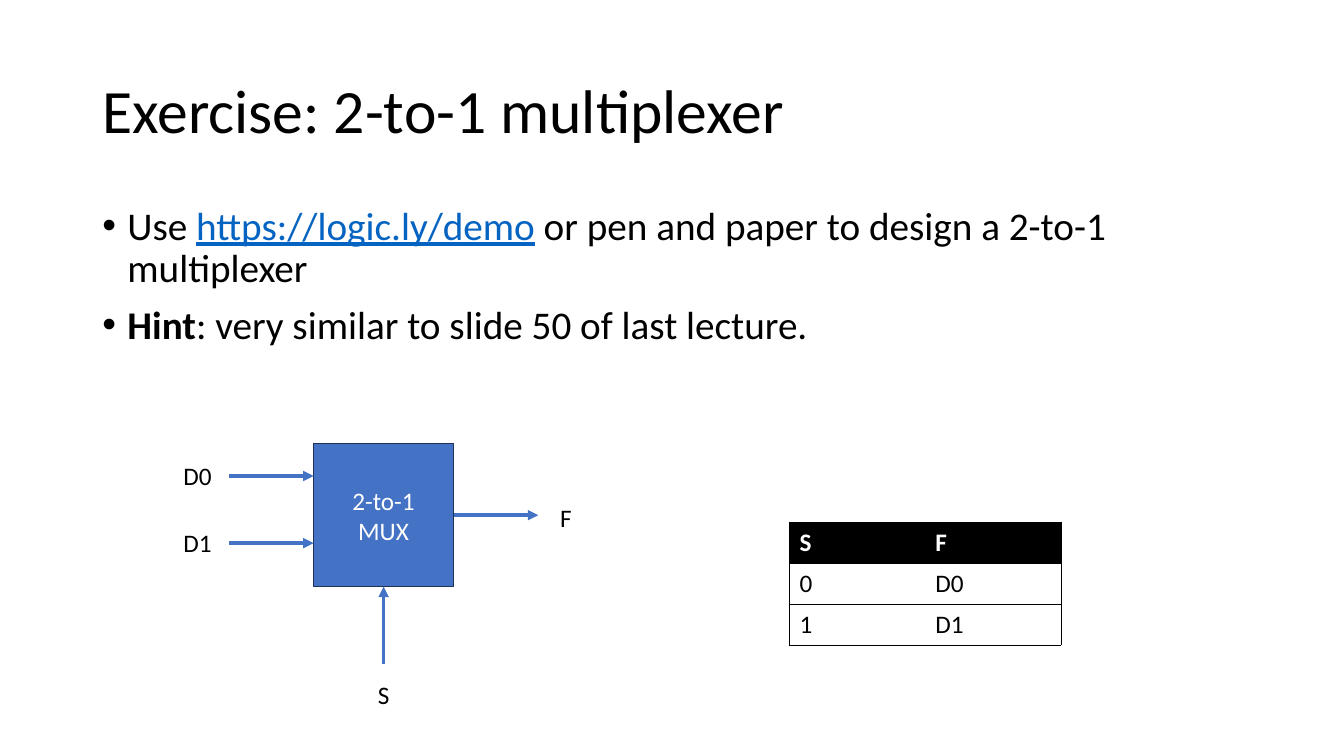
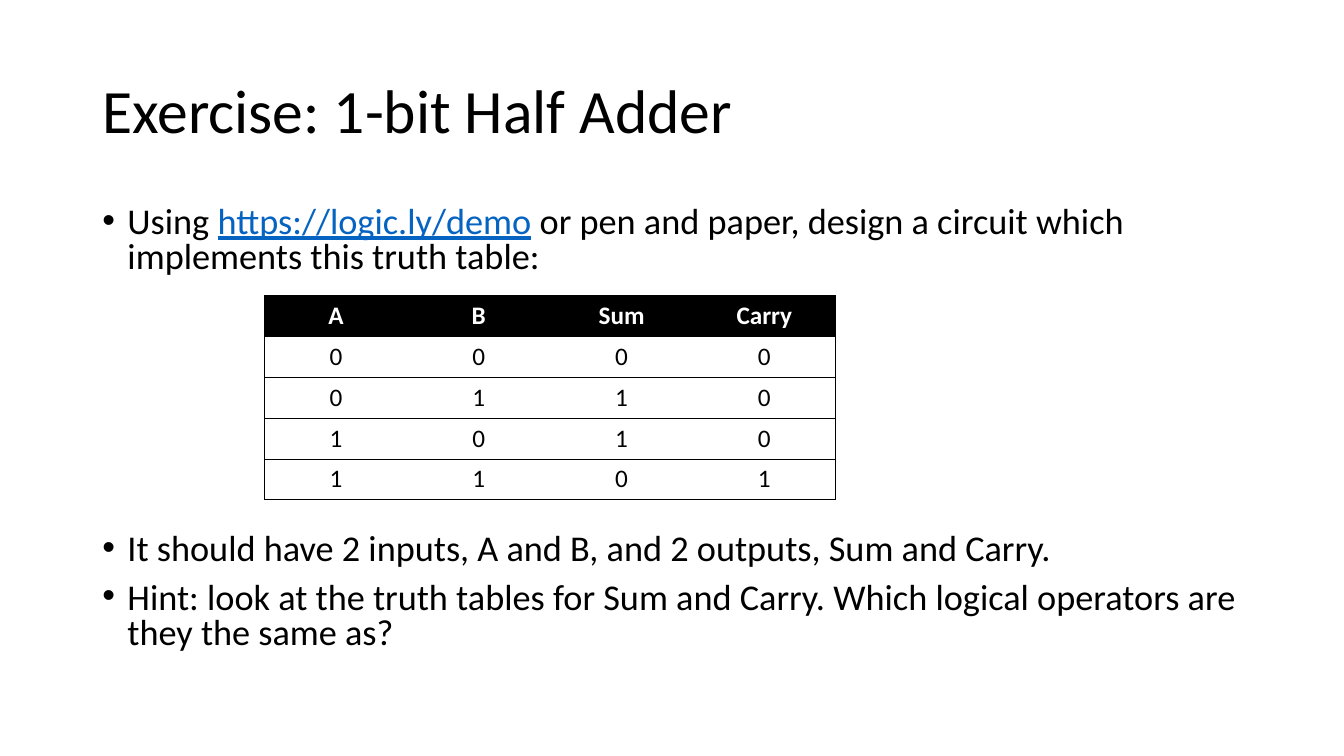
from dataclasses import dataclass

from lxml import etree
from pptx import Presentation
from pptx.dml.color import RGBColor
from pptx.enum import shapes, text
from pptx.oxml import ns
from pptx.util import Pt


@dataclass(frozen=True)
class Theme:
    font: str = "Calibri"
    ink: RGBColor = RGBColor(0, 0, 0)
    paper: RGBColor = RGBColor(255, 255, 255)
    link: RGBColor = RGBColor(0x05, 0x63, 0xC1)
    accent: RGBColor = RGBColor(0x44, 0x72, 0xC4)
    edge: RGBColor = RGBColor(0x1E, 0x32, 0x56)
    title: float = 44
    body: float = 28
    dense: float = 25.9
    small: float = 18


THEME = Theme()
PLAIN_TABLE = "{2D5ABB26-0587-4C30-8999-92F81FD0307C}"
SITE = "https://logic.ly/demo"
ROW_HEIGHT = 29.2


def child(parent, tag, **attributes):
    return etree.SubElement(parent, ns.qn(tag), attributes)


def add_run(paragraph, words, size, color=THEME.ink, bold=False, underline=False):
    run = paragraph.add_run()
    run.text = words
    font = run.font
    font.name, font.size = THEME.font, Pt(size)
    font.color.rgb, font.bold, font.underline = color, bold, underline


def add_title(slide, words, left, top, width, height):
    title = slide.shapes.title
    title.left, title.top = Pt(left), Pt(top)
    title.width, title.height = Pt(width), Pt(height)
    frame = title.text_frame
    frame.word_wrap = True
    frame.auto_size = text.MSO_AUTO_SIZE.NONE
    frame.vertical_anchor = text.MSO_ANCHOR.MIDDLE
    paragraph = frame.paragraphs[0]
    paragraph.alignment = text.PP_ALIGN.LEFT
    paragraph.line_spacing = 0.9
    add_run(paragraph, words, THEME.title)


def add_bullets(slide, items, left, top, width, height, size, spacing):
    box = slide.shapes.add_textbox(Pt(left), Pt(top), Pt(width), Pt(height))
    frame = box.text_frame
    frame.word_wrap = True
    for index, item in enumerate(items):
        paragraph = frame.add_paragraph() if index else frame.paragraphs[0]
        properties = paragraph._p.get_or_add_pPr()
        properties.set("marL", str(Pt(18)))
        properties.set("indent", str(Pt(-18)))
        child(properties, "a:buFont", typeface="Arial")
        child(properties, "a:buChar", char="•")
        paragraph.line_spacing = spacing
        paragraph.space_before = Pt(10 if index else 0)
        for words, style in item:
            add_run(paragraph, words, size, **style)


def link_item(before, after):
    return [(before, {}), (SITE, {"color": THEME.link, "underline": True}), (after, {})]


def add_cell_edges(cell, sides):
    properties = cell._tc.get_or_add_tcPr()
    for side in "LRTB":
        if side in sides:
            line = child(properties, f"a:ln{side}", w=str(Pt(0.5)))
            child(child(line, "a:solidFill"), "a:srgbClr", val=str(THEME.ink))


def add_truth_table(slide, rows, left, top, column_width, alignment):
    count = len(rows[0])
    table = slide.shapes.add_table(
        len(rows), count, Pt(left), Pt(top),
        Pt(column_width * count), Pt(ROW_HEIGHT * len(rows))).table
    table.horz_banding = False
    table._tbl.tblPr.find(ns.qn("a:tableStyleId")).text = PLAIN_TABLE
    for column in table.columns:
        column.width = Pt(column_width)
    for row_index, values in enumerate(rows):
        header = row_index == 0
        table.rows[row_index].height = Pt(ROW_HEIGHT)
        for column_index, value in enumerate(values):
            cell = table.cell(row_index, column_index)
            first, last = column_index == 0, column_index == count - 1
            add_cell_edges(cell, "TB" + "L" * first + "R" * last)
            cell.fill.solid()
            cell.fill.fore_color.rgb = THEME.ink if header else THEME.paper
            paragraph = cell.text_frame.paragraphs[0]
            paragraph.alignment = alignment
            add_run(paragraph, value, THEME.small,
                    THEME.paper if header else THEME.ink, bold=header)


def add_arrow(slide, start, end):
    arrow = slide.shapes.add_connector(
        shapes.MSO_CONNECTOR.STRAIGHT, *(Pt(value) for value in (*start, *end)))
    arrow.line.color.rgb = THEME.accent
    arrow.line.width = Pt(2.5)
    child(arrow.line._get_or_add_ln(), "a:tailEnd", type="triangle")
    child(arrow._element.spPr, "a:effectLst")
    return arrow


def add_signal(slide, name, left, top, alignment=text.PP_ALIGN.LEFT):
    box = slide.shapes.add_textbox(Pt(left), Pt(top), Pt(36), Pt(29))
    box.text_frame.word_wrap = True
    paragraph = box.text_frame.paragraphs[0]
    paragraph.alignment = alignment
    add_run(paragraph, name, THEME.small)


def add_multiplexer(slide, left, top, width, height):
    mux = slide.shapes.add_shape(
        shapes.MSO_SHAPE.RECTANGLE, Pt(left), Pt(top), Pt(width), Pt(height))
    mux.shadow.inherit = False
    mux.fill.solid()
    mux.fill.fore_color.rgb = THEME.accent
    mux.line.color.rgb = THEME.edge
    mux.line.width = Pt(1)
    frame = mux.text_frame
    frame.vertical_anchor = text.MSO_ANCHOR.MIDDLE
    for index, words in enumerate(("2-to-1", "MUX")):
        paragraph = frame.add_paragraph() if index else frame.paragraphs[0]
        paragraph.alignment = text.PP_ALIGN.CENTER
        add_run(paragraph, words, THEME.small, THEME.paper)

    right, bottom = left + width, top + height
    center, middle = left + width / 2, top + height / 2
    reach = 60.5
    for name, offset in (("D0", 23), ("D1", 71)):
        level = top + offset
        add_arrow(slide, (left - reach, level), (left, level))
        add_signal(slide, name, left - 100, level - 15)
    select = add_arrow(slide, (center, bottom + 55), (center, bottom))
    select.end_connect(mux, 2)
    add_signal(slide, "S", center - 18, bottom + 63, text.PP_ALIGN.CENTER)
    output = add_arrow(slide, (right, middle), (right + reach, middle))
    output.begin_connect(mux, 3)
    add_signal(slide, "F", right + 69, middle - 13)


def exercise_slide(deck, title):
    slide = deck.slides.add_slide(deck.slide_layouts[5])
    add_title(slide, title, 66, 29, 828, 104)
    return slide


def multiplexer_slide(deck):
    slide = exercise_slide(deck, "Exercise: 2-to-1 multiplexer")
    add_bullets(slide, [
        link_item("Use ", " or pen and paper to design a 2-to-1 multiplexer"),
        [("Hint", {"bold": True}), (": very similar to slide 50 of last lecture.", {})],
    ], 66, 144, 828, 162, THEME.body, 0.9)
    add_truth_table(slide, [("S", "F"), ("0", "D0"), ("1", "D1")],
                    564, 373, 97, text.PP_ALIGN.LEFT)
    add_multiplexer(slide, 224, 317, 100, 102)


def half_adder_slide(deck):
    slide = exercise_slide(deck, "Exercise: 1-bit Half Adder")
    add_bullets(slide, [
        link_item("Using ", " or pen and paper, design a circuit which "
                            "implements this truth table:"),
    ], 66, 144, 828, 60, THEME.dense, 0.8)
    rows = [("A", "B", "Sum", "Carry")]
    rows += [tuple(str(bit) for bit in (a, b, a ^ b, a & b))
             for a in (0, 1) for b in (0, 1)]
    add_truth_table(slide, rows, 189, 211, 102, text.PP_ALIGN.CENTER)
    add_bullets(slide, [
        [("It should have 2 inputs, A and B, and 2 outputs, Sum and Carry.", {})],
        [("Hint: look at the truth tables for Sum and Carry. "
          "Which logical operators are they the same as?", {})],
    ], 66, 377.5, 828, 109, THEME.dense, 0.8)


def main():
    deck = Presentation()
    deck.slide_width, deck.slide_height = Pt(960), Pt(540)
    multiplexer_slide(deck)
    half_adder_slide(deck)
    deck.save("out.pptx")


if __name__ == "__main__":
    main()
